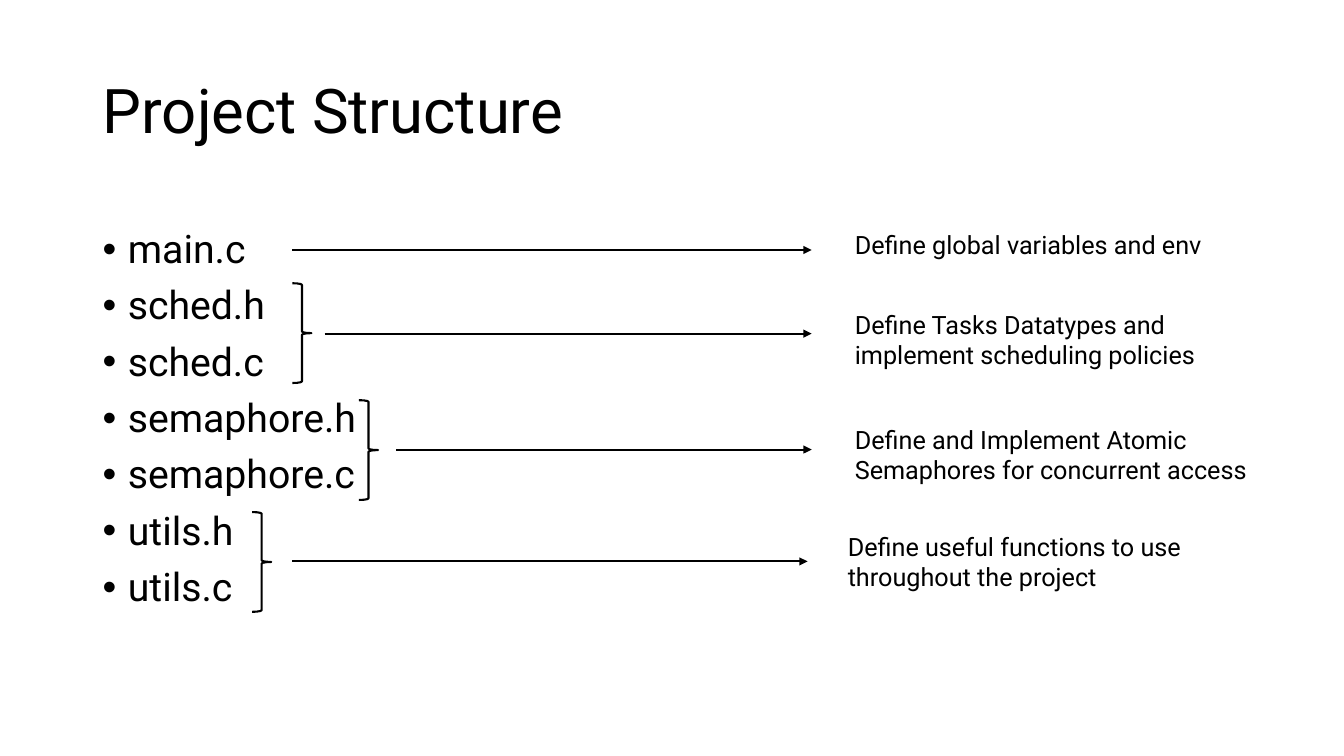
from pptx import Presentation
from pptx.dml.color import RGBColor
from pptx.enum.shapes import MSO_CONNECTOR, MSO_SHAPE
from pptx.enum.text import MSO_ANCHOR, MSO_AUTO_SIZE, PP_ALIGN
from pptx.oxml.ns import qn
from pptx.util import Inches, Pt
from lxml.etree import SubElement

INK = "000000"
FILES = ["main.c", "sched.h", "sched.c", "semaphore.h", "semaphore.c",
         "utils.h", "utils.c"]
ROLES = [
    (None, (2.9, 8.05, 2.48), (8.38, 2.23, 4.11, 0.4),
     "Define global variables and env"),
    ((2.9, 2.81, 0.19, 0.99), (3.22, 8.05, 3.31), (8.38, 3.02, 4.11, 0.71),
     "Define Tasks Datatypes and implement scheduling policies"),
    ((3.56, 3.97, 0.19, 0.99), (3.93, 8.05, 4.46), (8.38, 4.16, 4.11, 0.71),
     "Define and Implement Atomic Semaphores for concurrent access"),
    ((2.5, 5.08, 0.19, 0.99), (2.9, 8.01, 5.57), (8.31, 5.22, 4.11, 0.71),
     "Define useful functions to use throughout the project"),
]


def color(code):
    return RGBColor.from_string(code)


def assign(item, values):
    for key, value in values.items():
        setattr(item, key, value)


def style(para, size, **values):
    assign(para, values)
    assign(para.font, {"name": "Roboto", "size": Pt(size), "bold": False})
    para.font.color.rgb = color(INK)


def stroke(line):
    line.color.rgb = color(INK)
    line.width = Pt(1.5)


def add_title(slide, box, text):
    title = slide.shapes.title
    assign(title, dict(zip(("left", "top", "width", "height"), map(Inches, box))))
    frame = title.text_frame
    assign(frame, {"text": text, "word_wrap": True,
                   "vertical_anchor": MSO_ANCHOR.MIDDLE,
                   "auto_size": MSO_AUTO_SIZE.NONE})
    style(frame.paragraphs[0], 44, alignment=PP_ALIGN.LEFT, line_spacing=0.9)


def add_files(slide, box, names):
    frame = slide.shapes.add_textbox(*map(Inches, box)).text_frame
    assign(frame, {"text": "\n".join(names), "word_wrap": True})
    for row, para in enumerate(frame.paragraphs):
        props = para._p.get_or_add_pPr()
        props.set("marL", str(Inches(0.25)))
        props.set("indent", str(Inches(-0.25)))
        SubElement(props, qn("a:buFont"), typeface="Arial")
        SubElement(props, qn("a:buChar"), char="•")
        style(para, 28, line_spacing=0.9, space_before=Pt(10 if row else 0))


def add_brace(slide, box):
    brace = slide.shapes.add_shape(MSO_SHAPE.RIGHT_BRACE, *map(Inches, box))
    brace.shadow.inherit = False
    brace.fill.background()
    stroke(brace.line)


def add_arrow(slide, start, end, level):
    ends = map(Inches, (start, level, end, level))
    arrow = slide.shapes.add_connector(MSO_CONNECTOR.STRAIGHT, *ends)
    stroke(arrow.line)
    SubElement(arrow.line._get_or_add_ln(), qn("a:tailEnd"), type="triangle")
    SubElement(arrow._element.spPr, qn("a:effectLst"))


def add_note(slide, box, text):
    frame = slide.shapes.add_textbox(*map(Inches, box)).text_frame
    assign(frame, {"text": text, "word_wrap": True,
                   "auto_size": MSO_AUTO_SIZE.SHAPE_TO_FIT_TEXT})
    style(frame.paragraphs[0], 18)


def main():
    deck = Presentation()
    assign(deck, {"slide_width": Inches(13.33), "slide_height": Inches(7.5)})
    slide = deck.slides.add_slide(deck.slide_layouts.get_by_name("Title Only"))
    add_title(slide, (0.92, 0.4, 11.5, 1.45), "Project Structure")
    add_files(slide, (0.92, 2.23, 3.55, 4.04), FILES)
    for brace, arrow, box, text in ROLES:
        if brace:
            add_brace(slide, brace)
        add_arrow(slide, *arrow)
        add_note(slide, box, text)
    deck.save("out.pptx")


if __name__ == "__main__":
    main()
